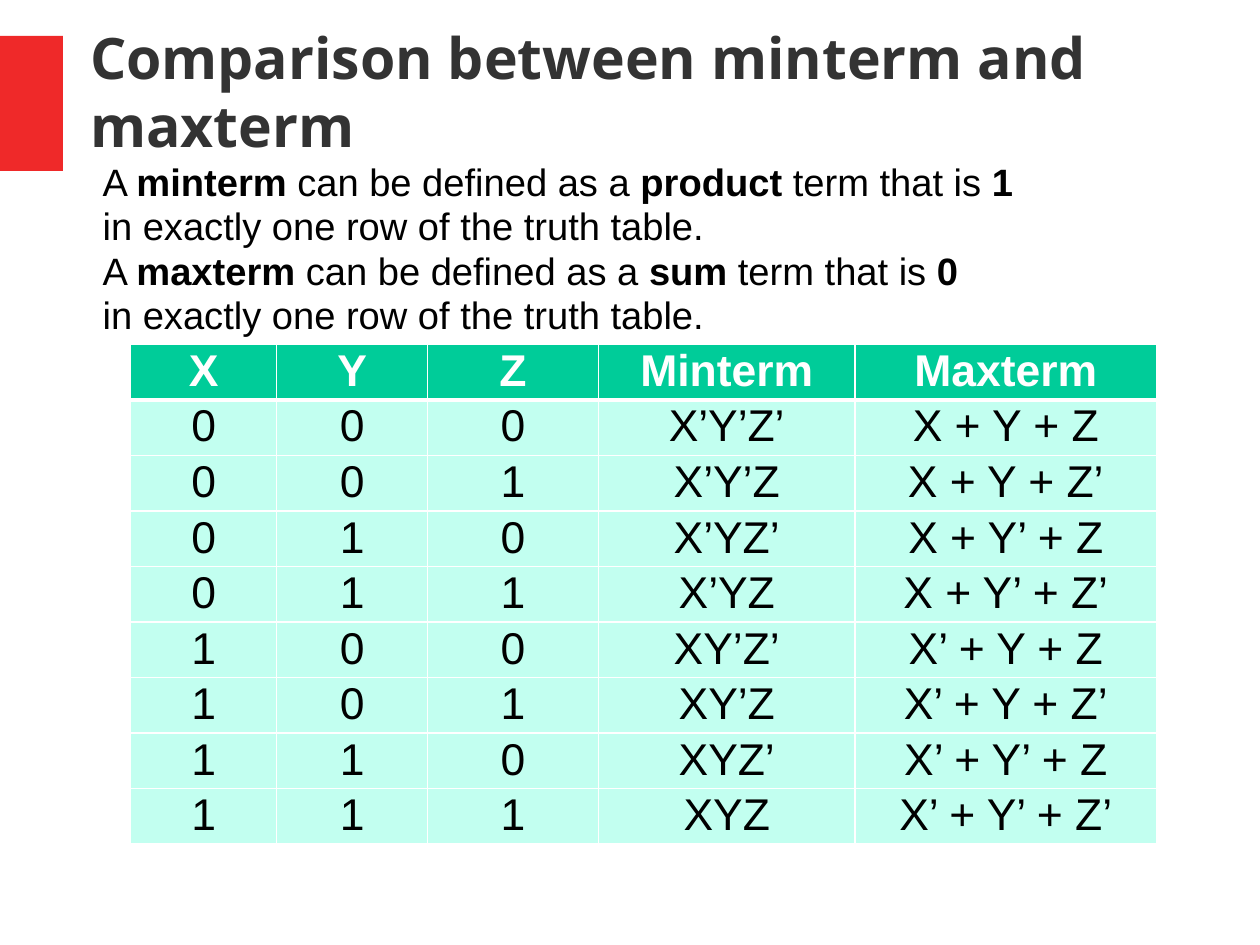
from dataclasses import dataclass
from itertools import product

from lxml import etree
from pptx import Presentation
from pptx import util as u
from pptx.dml.color import RGBColor
from pptx.enum import shapes, text
from pptx.oxml import ns


@dataclass(frozen=True)
class Theme:
    """Colours, fonts and type sizes of the slide."""
    red: str = "EF2929"
    dark: str = "333333"
    black: str = "000000"
    white: str = "FFFFFF"
    head: str = "00CC99"
    mint: str = "C2FFF0"
    title: str = "Open Sans"
    body: str = "Arial"
    large: int = 36
    small: int = 24
    cell: int = 28


T = Theme()
VARS = "XYZ"


def paint(fill, tone):
    """Fill with one solid colour."""
    fill.solid()
    fill.fore_color.rgb = RGBColor.from_string(tone)


def write(para, words, face, size, tone, bold=False):
    """Add one run to a paragraph."""
    run = para.add_run()
    run.text = words
    font = run.font
    font.name, font.size, font.bold = face, u.Pt(size), bold
    font.color.rgb = RGBColor.from_string(tone)


def place(shape, box):
    """Move a shape to a box given in centimetres."""
    shape.left, shape.top, shape.width, shape.height = map(u.Cm, box)


def inset(frame, side, edge):
    """Set the margins of a text frame or cell in centimetres."""
    frame.margin_left = frame.margin_right = u.Cm(side)
    frame.margin_top = frame.margin_bottom = u.Cm(edge)


def accent(slide, box):
    """Draw the red bar beside the title."""
    bar = slide.shapes.add_shape(shapes.MSO_SHAPE.RECTANGLE, *map(u.Cm, box))
    bar.shadow.inherit = False
    paint(bar.fill, T.red)
    bar.line.fill.background()


def heading(slide, box, words):
    """Fill the title placeholder."""
    title = slide.shapes.title
    place(title, box)
    frame = title.text_frame
    inset(frame, 0, 0)
    frame.word_wrap = True
    frame.auto_size = text.MSO_AUTO_SIZE.NONE
    frame.vertical_anchor = text.MSO_ANCHOR.MIDDLE
    para = frame.paragraphs[0]
    para.alignment = text.PP_ALIGN.LEFT
    para.line_spacing = 1.0
    write(para, words, T.title, T.large, T.dark, True)


def define(slide, box, terms):
    """Write a two-line definition for each term."""
    frame = slide.shapes.add_textbox(*map(u.Cm, box)).text_frame
    frame.word_wrap = True
    inset(frame, 0.25, 0.13)
    lines = []
    for name, kind, bit in terms:
        lines.append(["A ", name, " can be defined as a ", kind,
                      " term that is ", f"{bit} "])
        lines.append(["in exactly one row of the truth table."])
    for row, parts in enumerate(lines):
        para = frame.add_paragraph() if row else frame.paragraphs[0]
        para.line_spacing = 0.97
        for spot, words in enumerate(parts):
            write(para, words, T.body, T.small, T.black, spot % 2 == 1)


def border(cell, base):
    """Draw white cell edges with the given bottom width in points."""
    props = cell._tc.get_or_add_tcPr()
    for spot, (side, width) in enumerate(zip("LRTB", (1, 1, 1, base))):
        line = etree.Element(ns.qn(f"a:ln{side}"), w=str(u.Pt(width)))
        fill = etree.SubElement(line, ns.qn("a:solidFill"))
        etree.SubElement(fill, ns.qn("a:srgbClr"), val=T.white)
        props.insert(spot, line)


def literals(bits, mark):
    """List the variables, primed where the bit equals the mark."""
    return [v + "’" * (b == mark) for v, b in zip(VARS, bits)]


def truth(slide, box, widths):
    """Build the table of minterms and maxterms."""
    rows = [[*VARS, "Minterm", "Maxterm"]]
    for bits in product((0, 1), repeat=len(VARS)):
        rows.append([*map(str, bits), "".join(literals(bits, 0)),
                     " + ".join(literals(bits, 1))])
    grid = slide.shapes.add_table(len(rows), len(widths),
                                  *map(u.Cm, box)).table
    for col, width in zip(grid.columns, widths):
        col.width = u.Cm(width)
    for r, row in enumerate(rows):
        grid.rows[r].height = u.Cm(box[3] / len(rows))
        top = r == 0
        for c, words in enumerate(row):
            cell = grid.cell(r, c)
            inset(cell, 0.18, 0)
            paint(cell.fill, T.head if top else T.mint)
            border(cell, 3 if top else 1)
            para = cell.text_frame.paragraphs[0]
            para.alignment = text.PP_ALIGN.CENTER
            para.line_spacing = 1.04
            write(para, words, T.body, T.cell,
                  T.white if top else T.black, top)


def main():
    """Build and save the slide."""
    deck = Presentation()
    deck.slide_width, deck.slide_height = u.Cm(28), u.Cm(21)
    slide = deck.slides.add_slide(deck.slide_layouts[5])
    accent(slide, (0, 0.8, 1.4, 3))
    heading(slide, (2, 0.03, 24.6, 3.96),
            "Comparison between minterm and maxterm")
    define(slide, (2.03, 3.45, 24.18, 4.2),
           [("minterm", "product", 1), ("maxterm", "sum", 0)])
    widths = (3.25, 3.35, 3.8, 5.7, 6.7)
    truth(slide, (2.9, 7.65, sum(widths), 10.6), widths)
    deck.save("out.pptx")


main()
